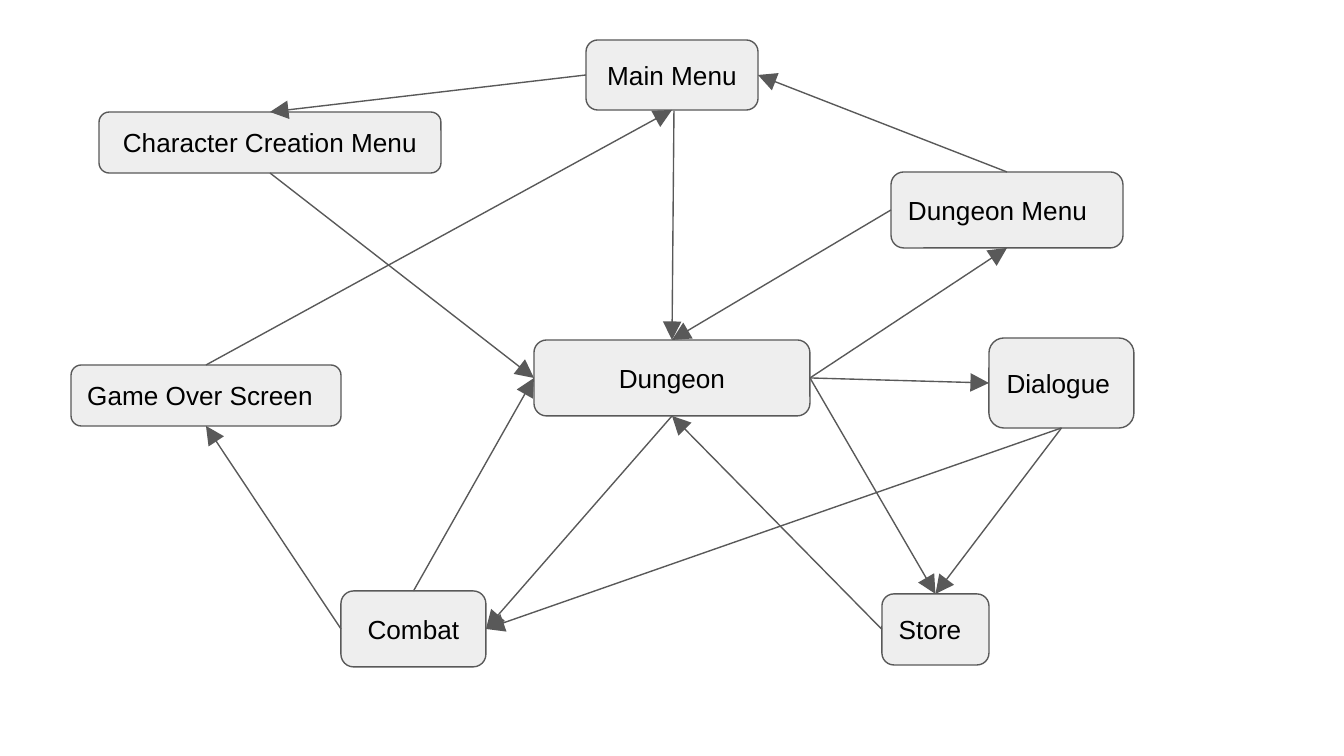
from lxml.etree import SubElement
from pptx import Presentation
from pptx.dml.color import RGBColor
from pptx.enum.shapes import MSO_CONNECTOR, MSO_SHAPE
from pptx.enum.text import MSO_ANCHOR, PP_ALIGN
from pptx.oxml.ns import qn
from pptx.util import Inches, Pt

COLORS = {"fill": "EEEEEE", "line": "595959", "text": "000000"}

# Connection sites of a rounded box
TOP, LEFT, LOW, RIGHT = range(4)

# Screen name: left, top, width, height, alignment
SCREENS = {
    "Main Menu": (586, 40, 172, 70, PP_ALIGN.CENTER),
    "Character Creation Menu": (99, 112, 342, 61, PP_ALIGN.CENTER),
    "Dungeon": (534, 340, 276, 76, PP_ALIGN.CENTER),
    "Dialogue": (989, 338, 145, 90, PP_ALIGN.LEFT),
    "Dungeon Menu": (891, 172, 232, 76, PP_ALIGN.LEFT),
    "Combat": (341, 591, 145, 76, PP_ALIGN.CENTER),
    "Store": (882, 594, 107, 71, PP_ALIGN.LEFT),
    "Game Over Screen": (71, 365, 270, 61, PP_ALIGN.LEFT),
}

# From screen and side, to screen and side
MOVES = [
    ("Main Menu", LEFT, "Character Creation Menu", TOP),
    ("Combat", LEFT, "Game Over Screen", LOW),
    ("Game Over Screen", TOP, "Main Menu", LOW),
    ("Character Creation Menu", LOW, "Dungeon", LEFT),
    ("Dungeon", RIGHT, "Dungeon Menu", LOW),
    ("Dungeon", RIGHT, "Dialogue", LEFT),
    ("Dialogue", LOW, "Store", TOP),
    ("Dungeon", RIGHT, "Store", TOP),
    ("Store", LEFT, "Dungeon", LOW),
    ("Dungeon Menu", TOP, "Main Menu", RIGHT),
    ("Dungeon Menu", LEFT, "Dungeon", TOP),
    ("Combat", TOP, "Dungeon", LEFT),
    ("Dungeon", LOW, "Combat", RIGHT),
    ("Dialogue", LOW, "Combat", RIGHT),
]


def px(count):
    return round(count * Inches(10) / 1344)


def color(name):
    return RGBColor.from_string(COLORS[name])


def set_line(line):
    line.color.rgb = color("line")
    line.width = Pt(0.75)


def add_box(slide, name, left, top, width, height, align):
    box = slide.shapes.add_shape(
        MSO_SHAPE.ROUNDED_RECTANGLE, px(left), px(top), px(width), px(height))
    box.shadow.inherit = False
    box.fill.solid()
    box.fill.fore_color.rgb = color("fill")
    set_line(box.line)
    frame = box.text_frame
    frame.word_wrap = True
    frame.vertical_anchor = MSO_ANCHOR.MIDDLE
    frame.margin_left = frame.margin_right = Inches(0.1)
    frame.margin_top = frame.margin_bottom = Inches(0.1)
    para = frame.paragraphs[0]
    para.text = name
    para.alignment = align
    para.font.name = "Arial"
    para.font.size = Pt(14)
    para.font.color.rgb = color("text")
    return box


def add_arrow(slide, end, goal, start=None, side=None, x=0, y=0):
    """Draw an arrow to a box side, from a box side or a free point."""
    arrow = slide.shapes.add_connector(
        MSO_CONNECTOR.STRAIGHT, px(x), px(y), px(x), px(y))
    if start is not None:
        arrow.begin_connect(start, side)
    arrow.end_connect(end, goal)
    set_line(arrow.line)
    props = arrow.element.spPr
    SubElement(props.find(qn("a:ln")), qn("a:tailEnd"),
               type="triangle", w="lg", len="lg")
    SubElement(props, qn("a:effectLst"))


def main():
    deck = Presentation()
    deck.slide_width, deck.slide_height = px(1344), px(756)
    slide = deck.slides.add_slide(deck.slide_layouts[6])

    # Screens
    boxes = {name: add_box(slide, name, *spot)
             for name, spot in SCREENS.items()}

    # Moves between screens
    for start, side, end, goal in MOVES:
        add_arrow(slide, boxes[end], goal, boxes[start], side)

    # Slightly slanted move from the main menu, off the site below it
    add_arrow(slide, boxes["Dungeon"], TOP, x=674, y=111)

    deck.save("out.pptx")


main()
